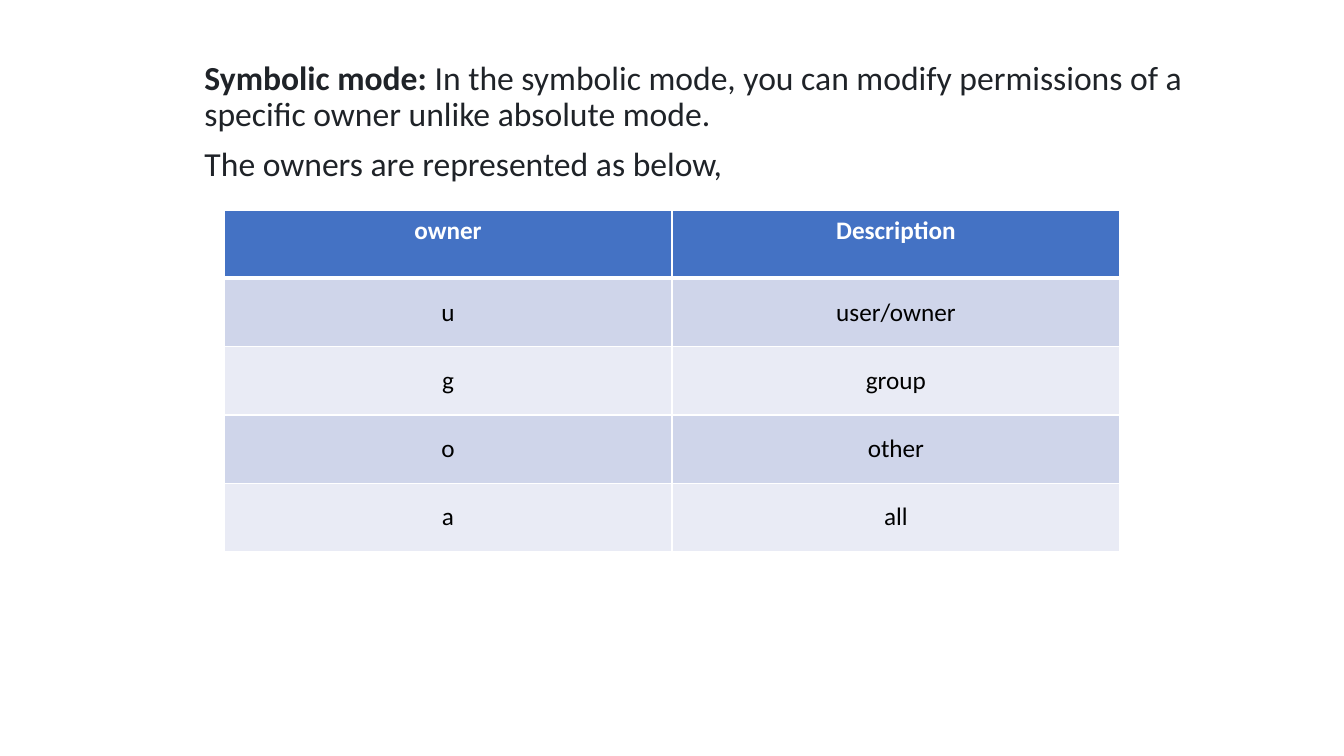
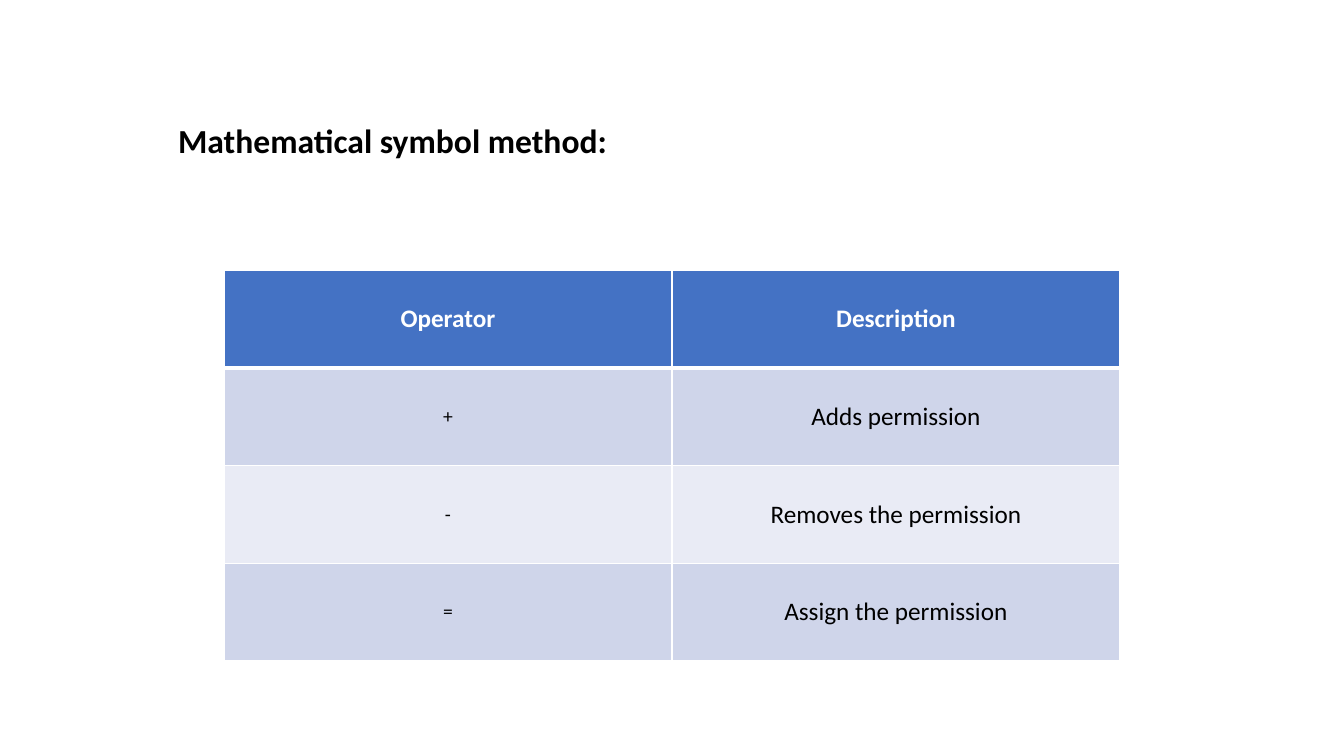
"""Build two slides on symbolic file permissions, each a lead text above a table."""
from dataclasses import dataclass

from lxml import etree
from pptx import Presentation
from pptx.dml.color import RGBColor
from pptx.enum import text as tx
from pptx.oxml import ns
from pptx.slide import Slide
from pptx.table import _Cell
from pptx.text.text import TextFrame, _Paragraph
from pptx.util import Pt

COLORS = {
    "header": "4472C4",
    "band_dark": "CFD5EA",
    "band_light": "E9EBF5",
    "white": "FFFFFF",
    "black": "000000",
    "ink": "1F2328",
}
FONT = "Calibri"
LEAD_SIZE = 24
CELL_SIZE = 18
TABLE_LEFT = 160
COLUMN_WIDTH = 320
THIN, THICK = 1, 3
TITLE_ONLY, BLANK = 5, 6


@dataclass(frozen=True)
class Span:
    text: str
    bold: bool = False


@dataclass(frozen=True)
class Lead:
    left: float
    top: float
    width: float
    height: float
    color: str
    paragraphs: tuple[tuple[Span, ...], ...]
    is_title: bool = False


@dataclass(frozen=True)
class Grid:
    top: float
    row_height: float
    rows: tuple[tuple[str, str], ...]
    key_size: int = CELL_SIZE
    header_anchor: tx.MSO_ANCHOR = tx.MSO_ANCHOR.MIDDLE


@dataclass(frozen=True)
class Page:
    lead: Lead
    grid: Grid


PAGES = (
    Page(
        Lead(139, 40, 720, 370, "ink", (
            (
                Span("Symbolic mode:", bold=True),
                Span(" In the symbolic mode, you can modify permissions"
                     " of a specific owner unlike absolute mode."),
            ),
            (Span("The owners are represented as below,"),),
        )),
        Grid(150, 48.8, (
            ("owner", "Description"),
            ("u", "user/owner"),
            ("g", "group"),
            ("o", "other"),
            ("a", "all"),
        ), header_anchor=tx.MSO_ANCHOR.TOP),
    ),
    Page(
        Lead(120, 85, 720, 329, "black",
             ((Span("Mathematical symbol method:", bold=True),),), is_title=True),
        Grid(193, 69.8, (
            ("Operator", "Description"),
            ("+", "Adds permission"),
            ("-", "Removes the permission"),
            ("=", "Assign the permission"),
        ), key_size=14),
    ),
)


def rgb(name: str) -> RGBColor:
    return RGBColor.from_string(COLORS[name])


def add_span(paragraph: _Paragraph, span: Span, size: float, color: str) -> None:
    run = paragraph.add_run()
    run.text = span.text
    run.font.name = FONT
    run.font.size = Pt(size)
    run.font.bold = span.bold
    run.font.color.rgb = rgb(color)


def write_lead(frame: TextFrame, lead: Lead) -> None:
    frame.word_wrap = True
    frame.auto_size = tx.MSO_AUTO_SIZE.NONE
    frame.vertical_anchor = tx.MSO_ANCHOR.TOP
    for index, spans in enumerate(lead.paragraphs):
        paragraph = frame.add_paragraph() if index else frame.paragraphs[0]
        paragraph.alignment = tx.PP_ALIGN.LEFT
        paragraph.line_spacing = 0.9
        paragraph.space_before = Pt(10)
        for span in spans:
            add_span(paragraph, span, LEAD_SIZE, lead.color)


def add_lead(slide: Slide, lead: Lead) -> None:
    place = [Pt(length) for length in (lead.left, lead.top, lead.width, lead.height)]
    if lead.is_title:
        heading = slide.shapes.title
        heading.left, heading.top, heading.width, heading.height = place
    else:
        heading = slide.shapes.add_textbox(*place)
    write_lead(heading.text_frame, lead)


def set_borders(cell: _Cell, top: float, bottom: float) -> None:
    properties = cell._tc.get_or_add_tcPr()
    for side, width in (("L", THIN), ("R", THIN), ("T", top), ("B", bottom)):
        line = etree.SubElement(properties, ns.qn(f"a:ln{side}"), w=str(Pt(width)))
        fill = etree.SubElement(line, ns.qn("a:solidFill"))
        etree.SubElement(fill, ns.qn("a:srgbClr"), val=COLORS["white"])


def add_grid(slide: Slide, grid: Grid) -> None:
    count = len(grid.rows)
    table = slide.shapes.add_table(
        count, 2, Pt(TABLE_LEFT), Pt(grid.top),
        Pt(2 * COLUMN_WIDTH), Pt(count * grid.row_height),
    ).table
    for column in table.columns:
        column.width = Pt(COLUMN_WIDTH)
    for row, entries in enumerate(grid.rows):
        table.rows[row].height = Pt(grid.row_height)
        is_header = row == 0
        band = "header" if is_header else ("band_light", "band_dark")[row % 2]
        for column, entry in enumerate(entries):
            cell = table.cell(row, column)
            set_borders(cell, THICK if row == 1 else THIN, THICK if is_header else THIN)
            cell.fill.solid()
            cell.fill.fore_color.rgb = rgb(band)
            cell.vertical_anchor = grid.header_anchor if is_header else tx.MSO_ANCHOR.MIDDLE
            paragraph = cell.text_frame.paragraphs[0]
            paragraph.alignment = tx.PP_ALIGN.CENTER
            size = CELL_SIZE if is_header or column else grid.key_size
            add_span(paragraph, Span(entry, is_header), size, "white" if is_header else "black")


def main() -> None:
    deck = Presentation()
    deck.slide_width, deck.slide_height = Pt(960), Pt(540)
    for page in PAGES:
        layout = deck.slide_layouts[TITLE_ONLY if page.lead.is_title else BLANK]
        slide = deck.slides.add_slide(layout)
        add_lead(slide, page.lead)
        add_grid(slide, page.grid)
    deck.save("out.pptx")


if __name__ == "__main__":
    main()
